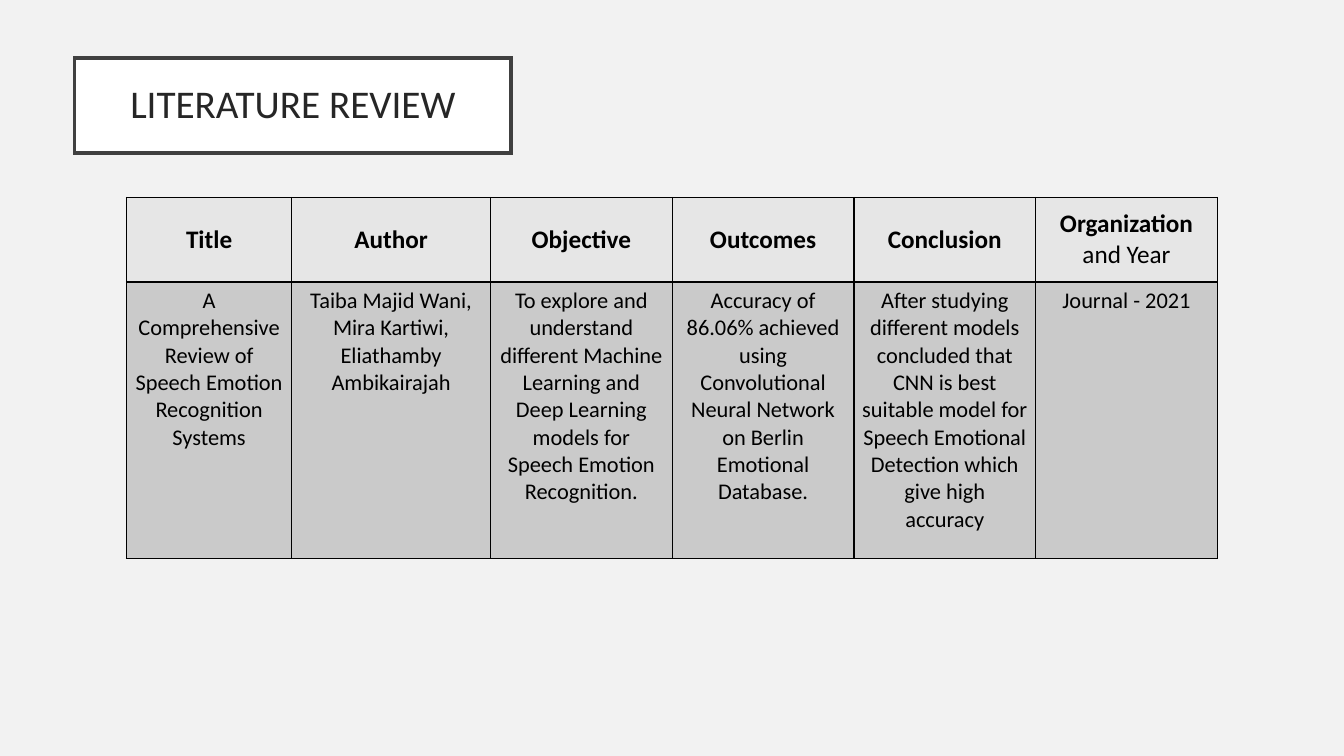
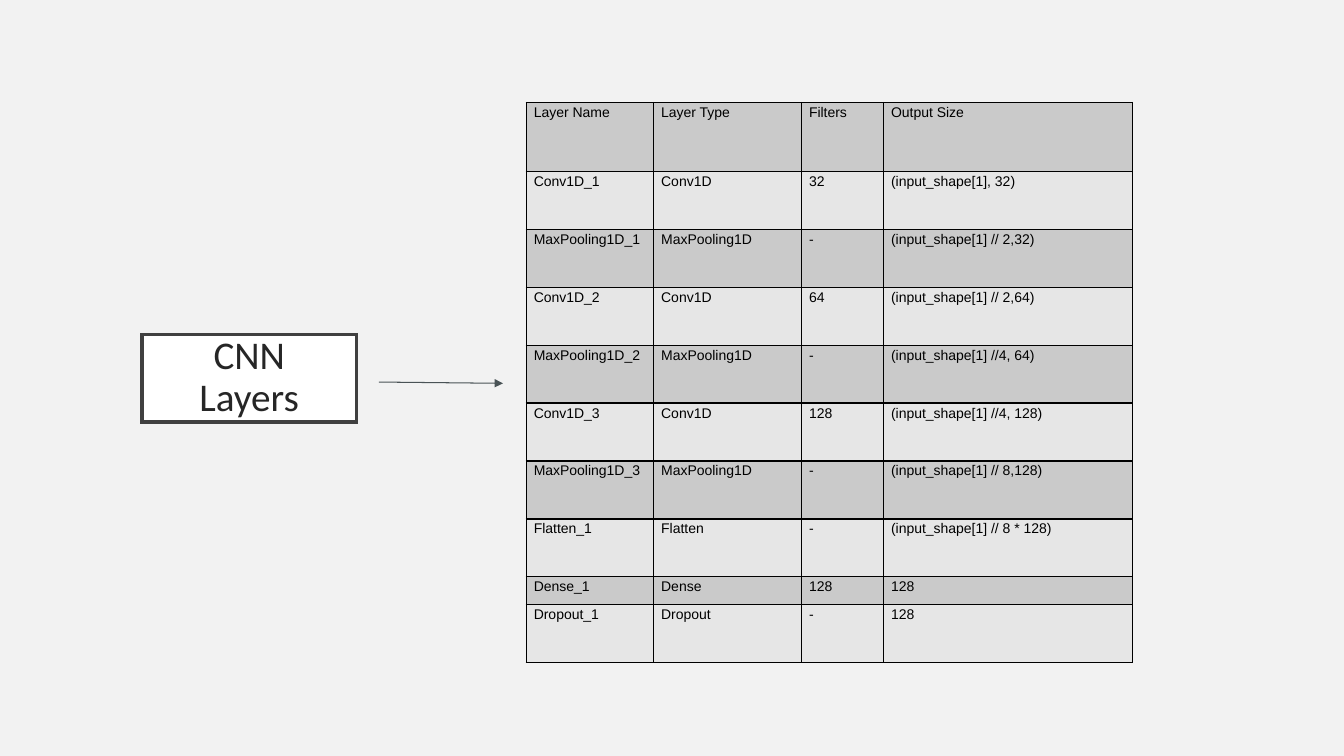
from dataclasses import dataclass
from typing import Any

from lxml import etree
from pptx import Presentation
from pptx.dml.color import RGBColor
from pptx.enum.shapes import MSO_CONNECTOR, MSO_SHAPE
from pptx.enum.text import MSO_ANCHOR, PP_ALIGN
from pptx.oxml.ns import qn
from pptx.util import Pt

RECTANGLE = MSO_SHAPE.RECTANGLE
STRAIGHT = MSO_CONNECTOR.STRAIGHT
TOP, MIDDLE = MSO_ANCHOR.TOP, MSO_ANCHOR.MIDDLE
LEFT, CENTER = PP_ALIGN.LEFT, PP_ALIGN.CENTER

BACKGROUND = "F2F2F2"
WHITE = "FFFFFF"
BLACK = "000000"
FRAME = "404040"
TITLE_TEXT = "262626"
ARROW = "4A5356"
LIGHT_ROW = "E6E6E6"
DARK_ROW = "CACACA"


@dataclass(frozen=True)
class Box:
    left: float
    top: float
    width: float
    height: float


@dataclass(frozen=True)
class TextStyle:
    font: str
    size: float
    color: str = BLACK
    align: Any = LEFT
    spacing: float = 1.0
    bold_first_word: bool = False


@dataclass(frozen=True)
class RowStyle:
    fill: str
    text: TextStyle
    anchor: Any = TOP
    side_margin: float = 5.4
    end_margin: float = 0


@dataclass(frozen=True)
class Row:
    height: float
    style: RowStyle
    cells: tuple[str, ...]


TITLE_STYLE = TextStyle("Calibri", 28, TITLE_TEXT, CENTER, 0.9)
HEADING_ROW = RowStyle(
    LIGHT_ROW, TextStyle("Calibri", 18, align=CENTER, bold_first_word=True), MIDDLE, 7.2, 3.6
)
REVIEW_ROW = RowStyle(DARK_ROW, TextStyle("Calibri", 16, align=CENTER), end_margin=3.6)
LAYER_TEXT = TextStyle("Arial", 10, spacing=1.15)
LAYER_ROWS = (RowStyle(DARK_ROW, LAYER_TEXT), RowStyle(LIGHT_ROW, LAYER_TEXT))

REVIEW_COLUMNS = (118, 142, 129.8, 129.8, 129.8, 129.8)
REVIEW = [
    Row(60.4, HEADING_ROW, (
        "Title", "Author", "Objective", "Outcomes", "Conclusion", "Organization and Year",
    )),
    Row(197.3, REVIEW_ROW, (
        "A Comprehensive Review of Speech Emotion\nRecognition Systems",
        "Taiba Majid Wani,\nMira Kartiwi,\nEliathamby Ambikairajah",
        "To explore and understand different Machine Learning and Deep Learning models "
        "for Speech Emotion Recognition.",
        "Accuracy of 86.06% achieved using Convolutional Neural Network on Berlin "
        "Emotional Database.",
        "After studying different models concluded that CNN is best suitable model for "
        "Speech Emotional Detection which give high\naccuracy",
        "Journal - 2021",
    )),
]

LAYER_COLUMNS = (91, 105.6, 58.6, 177.9)
HEADER_HEIGHT, LAYER_HEIGHT, DENSE_HEIGHT = 49.2, 41.4, 20
LAYERS = [
    ("Layer Name", "Layer Type", "Filters", "Output Size"),
    ("Conv1D_1", "Conv1D", "32", "(input_shape[1], 32)"),
    ("MaxPooling1D_1", "MaxPooling1D", "-", "(input_shape[1] // 2,32)"),
    ("Conv1D_2", "Conv1D", "64", "(input_shape[1] // 2,64)"),
    ("MaxPooling1D_2", "MaxPooling1D", "-", "(input_shape[1] //4, 64)"),
    ("Conv1D_3", "Conv1D", "128", "(input_shape[1] //4, 128)"),
    ("MaxPooling1D_3", "MaxPooling1D", "-", "(input_shape[1] // 8,128)"),
    ("Flatten_1", "Flatten", "-", "(input_shape[1] // 8 * 128)"),
    ("Dense_1", "Dense", "128", "128"),
    ("Dropout_1", "Dropout", "-", "128"),
]
SPECIAL_HEIGHTS = {"Layer Name": HEADER_HEIGHT, "Dense_1": DENSE_HEIGHT}


def apply_format(target: Any, values: dict[str, Any]) -> None:
    for name, value in values.items():
        setattr(target, name, value)


def color(value: str) -> RGBColor:
    return RGBColor.from_string(value)


def paint(fill: Any, value: str) -> None:
    fill.solid()
    fill.fore_color.rgb = color(value)


def write_text(text_frame: Any, text: str, style: TextStyle) -> None:
    for index, line in enumerate(text.split("\n")):
        paragraph = text_frame.add_paragraph() if index else text_frame.paragraphs[0]
        apply_format(paragraph, {"alignment": style.align, "line_spacing": style.spacing})
        pieces = [(line, False)]
        if style.bold_first_word:
            first, gap, rest = line.partition(" ")
            pieces = [(first, True), (gap + rest, False)]
        for piece, bold in pieces:
            if piece:
                run = paragraph.add_run()
                run.text = piece
                apply_format(run.font, {"name": style.font, "size": Pt(style.size), "bold": bold})
                run.font.color.rgb = color(style.color)


def add_slide(presentation: Any) -> Any:
    slide = presentation.slides.add_slide(presentation.slide_layouts[6])
    paint(slide.background.fill, BACKGROUND)
    return slide


def add_title(slide: Any, box: Box, text: str) -> None:
    shape = slide.shapes.add_shape(
        RECTANGLE, Pt(box.left), Pt(box.top), Pt(box.width), Pt(box.height)
    )
    shape.shadow.inherit = False
    paint(shape.fill, WHITE)
    paint(shape.line.fill, FRAME)
    shape.line.width = Pt(2.5)
    etree.SubElement(shape.line._get_or_add_ln(), qn("a:miter"), lim="800000")
    sides = ("left", "right", "top", "bottom")
    margins = {f"margin_{side}": Pt(14.4) for side in sides}
    apply_format(
        shape.text_frame, {"word_wrap": True, "vertical_anchor": MIDDLE, **margins}
    )
    write_text(shape.text_frame, text, TITLE_STYLE)


def add_borders(cell: Any) -> None:
    properties = cell._tc.get_or_add_tcPr()
    for edge in ("lnL", "lnR", "lnT", "lnB"):
        line = etree.SubElement(properties, qn(f"a:{edge}"), w=str(Pt(1)))
        fill = etree.SubElement(line, qn("a:solidFill"))
        etree.SubElement(fill, qn("a:srgbClr"), val=BLACK)


def add_grid(
    slide: Any, left: float, top: float, columns: tuple[float, ...], rows: list[Row]
) -> None:
    height = sum(row.height for row in rows)
    table = slide.shapes.add_table(
        len(rows), len(columns), Pt(left), Pt(top), Pt(sum(columns)), Pt(height)
    ).table
    apply_format(table, {"first_row": False, "horz_banding": False})
    for column, width in zip(table.columns, columns):
        column.width = Pt(width)
    for table_row, row in zip(table.rows, rows):
        table_row.height = Pt(row.height)
        style = row.style
        for cell, text in zip(table_row.cells, row.cells):
            apply_format(cell, {
                "vertical_anchor": style.anchor,
                "margin_left": Pt(style.side_margin),
                "margin_right": Pt(style.side_margin),
                "margin_top": Pt(style.end_margin),
                "margin_bottom": Pt(style.end_margin),
            })
            add_borders(cell)
            paint(cell.fill, style.fill)
            write_text(cell.text_frame, text, style.text)


def add_arrow(slide: Any, start: tuple[float, float], end: tuple[float, float]) -> None:
    connector = slide.shapes.add_connector(STRAIGHT, *map(Pt, start + end))
    paint(connector.line.fill, ARROW)
    connector.line.width = Pt(0.75)
    etree.SubElement(connector.line._get_or_add_ln(), qn("a:tailEnd"), type="triangle")
    etree.SubElement(connector._element.spPr, qn("a:effectLst"))


def add_review_slide(presentation: Any) -> None:
    slide = add_slide(presentation)
    add_title(slide, Box(53.3, 41.6, 311.8, 67.7), "LITERATURE REVIEW")
    add_grid(slide, 90.4, 141, REVIEW_COLUMNS, REVIEW)


def add_layers_slide(presentation: Any) -> None:
    slide = add_slide(presentation)
    add_title(slide, Box(101.3, 238.8, 153.4, 62.6), "CNN Layers")
    rows = [
        Row(SPECIAL_HEIGHTS.get(cells[0], LAYER_HEIGHT), LAYER_ROWS[index % 2], cells)
        for index, cells in enumerate(LAYERS)
    ]
    add_grid(slide, 375.9, 73.2, LAYER_COLUMNS, rows)
    add_arrow(slide, (270.7, 272.9), (359.3, 273.8))


def main() -> None:
    presentation = Presentation()
    apply_format(presentation, {"slide_width": Pt(960), "slide_height": Pt(540)})
    add_review_slide(presentation)
    add_layers_slide(presentation)
    presentation.save("out.pptx")


if __name__ == "__main__":
    main()
